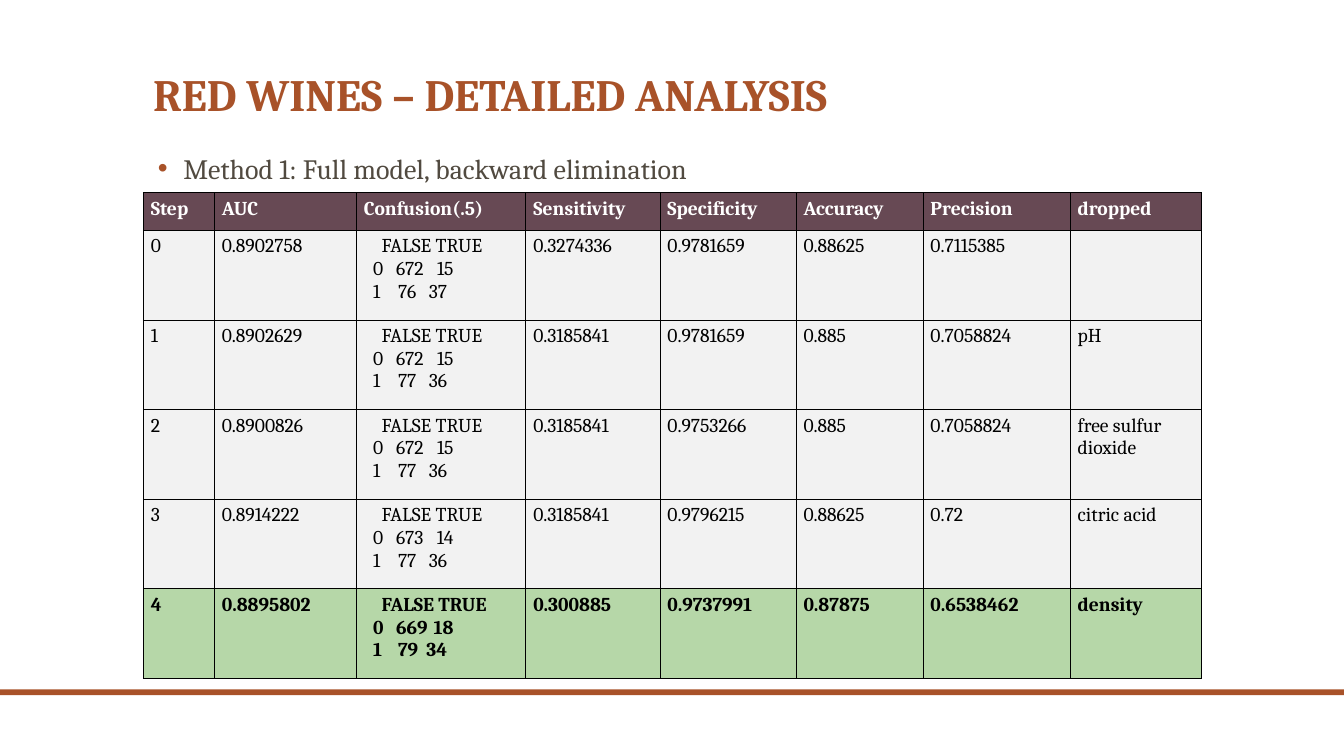
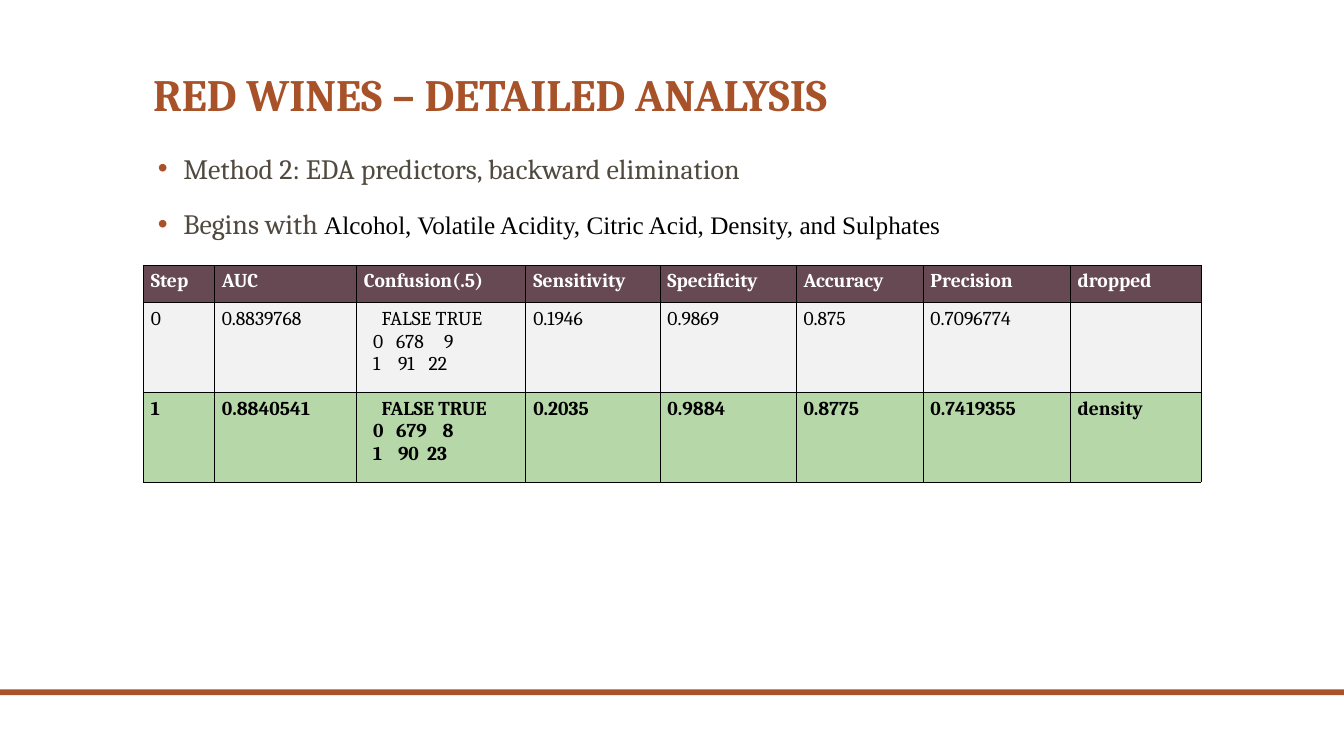
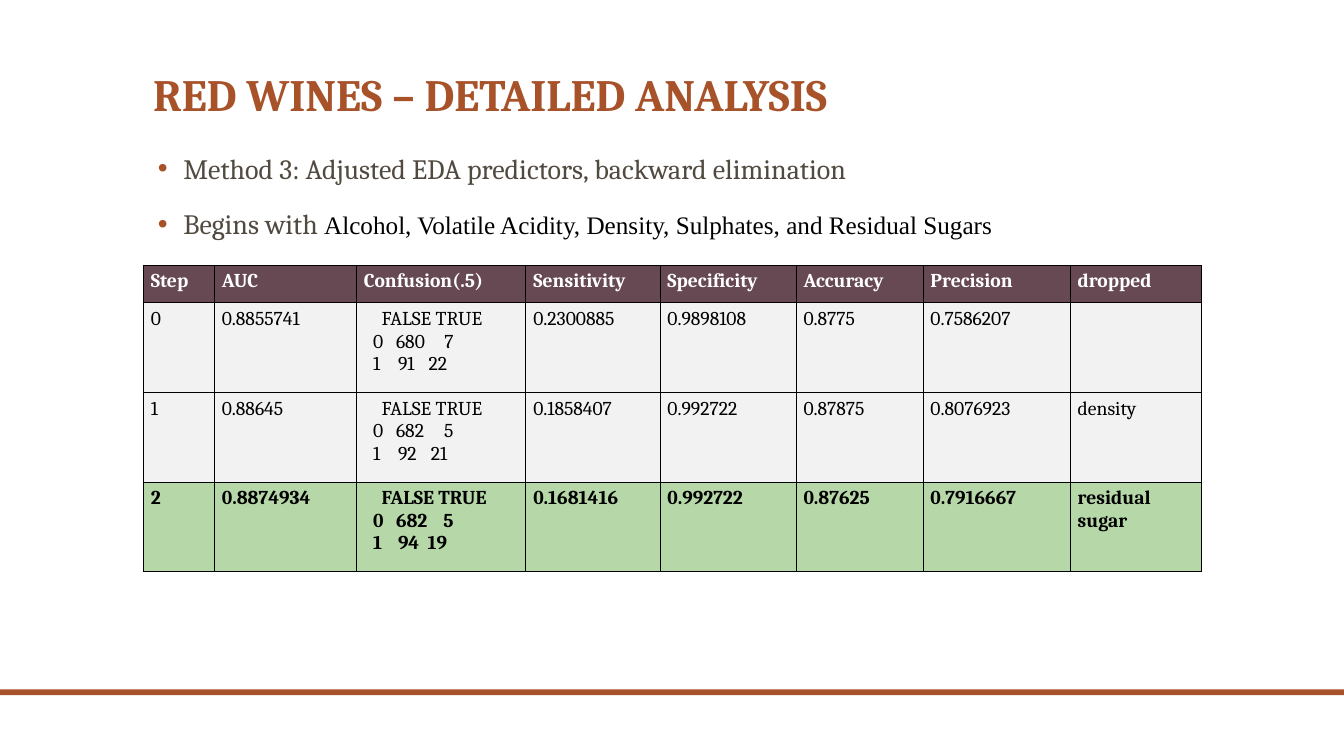
from dataclasses import dataclass

from lxml import etree
from pptx import Presentation, util as u
from pptx.dml import color as col
from pptx.enum import shapes, text as txt
from pptx.oxml import ns

HEX = {
    "rust": "A85229", "body": "514A40", "plum": "674954", "white": "FFFFFF",
    "black": "000000", "grey": "F2F2F2", "green": "B6D7A8",
}
SERIF = "Cambria"
WIDE, HIGH = 33.87, 19.05
LEFT, SPAN = 3.61, 26.67
COLS = (1.79, 3.58, 4.27, 3.38, 3.43, 3.2, 3.71, 3.3)
HEAD = ("Step", "AUC", "Confusion(.5)", "Sensitivity", "Specificity",
        "Accuracy", "Precision", "dropped")
HEAD_H, ROW_H = 0.95, 2.26
# Tab stops of the three lines of a confusion matrix: (cm, alignment)
TABS = (
    ((0.45, "l"),),
    ((0.23, "l"), (0.81, "l"), (2.26, "r")),
    ((0.23, "l"), (0.86, "l"), (2.1, "r")),
)


@dataclass
class Step:
    auc: str
    counts: tuple[int, int, int, int]
    sens: str
    spec_: str
    acc: str
    prec: str
    drop: str = ""

    def grid(self) -> list[str]:
        a, b, c, d = self.counts
        return ["\tFALSE TRUE", f"\t0\t{a}\t{b}", f"\t1\t{c}\t{d}"]


@dataclass
class Page:
    method: str
    begins: str
    top: float
    steps: list[Step]


PAGES = [
    Page("Method 1: Full model, backward elimination", "", 4.85, [
        Step("0.8902758", (672, 15, 76, 37), "0.3274336", "0.9781659", "0.88625", "0.7115385"),
        Step("0.8902629", (672, 15, 77, 36), "0.3185841", "0.9781659", "0.885", "0.7058824", "pH"),
        Step("0.8900826", (672, 15, 77, 36), "0.3185841", "0.9753266", "0.885", "0.7058824",
             "free sulfur dioxide"),
        Step("0.8914222", (673, 14, 77, 36), "0.3185841", "0.9796215", "0.88625", "0.72",
             "citric acid"),
        Step("0.8895802", (669, 18, 79, 34), "0.300885", "0.9737991", "0.87875", "0.6538462",
             "density"),
    ]),
    Page("Method 2: EDA predictors, backward elimination",
         "Alcohol, Volatile Acidity, Citric Acid, Density, and Sulphates", 6.68, [
             Step("0.8839768", (678, 9, 91, 22), "0.1946", "0.9869", "0.875", "0.7096774"),
             Step("0.8840541", (679, 8, 90, 23), "0.2035", "0.9884", "0.8775", "0.7419355",
                  "density"),
         ]),
    Page("Method 3: Adjusted EDA predictors, backward elimination",
         "Alcohol, Volatile Acidity, Density, Sulphates, and Residual Sugars", 6.68, [
             Step("0.8855741", (680, 7, 91, 22), "0.2300885", "0.9898108", "0.8775", "0.7586207"),
             Step("0.88645", (682, 5, 92, 21), "0.1858407", "0.992722", "0.87875", "0.8076923",
                  "density"),
             Step("0.8874934", (682, 5, 94, 19), "0.1681416", "0.992722", "0.87625", "0.7916667",
                  "residual sugar"),
         ]),
]


def rgb(name: str) -> col.RGBColor:
    return col.RGBColor.from_string(HEX[name])


def sub(node, tag: str, **attrs):
    return etree.SubElement(node, ns.qn(tag), attrs)


def write(para, words: str, *, size: float = 14, font: str = SERIF,
          color: str = "black", bold: bool = False) -> None:
    run = para.add_run()
    run.text = words
    run.font.size = u.Pt(size)
    run.font.name = font
    run.font.bold = bold
    run.font.color.rgb = rgb(color)


def bullet(para) -> None:
    props = para._p.get_or_add_pPr()
    props.set("marL", str(u.Cm(0.76)))
    props.set("indent", str(u.Cm(-0.64)))
    sub(sub(props, "a:buClr"), "a:srgbClr", val=HEX["rust"])
    sub(props, "a:buFont", typeface="Arial")
    sub(props, "a:buChar", char="•")
    para.line_spacing = 0.9


def stops(para, tabs) -> None:
    """Set the tab stops of a paragraph."""
    group = sub(para._p.get_or_add_pPr(), "a:tabLst")
    for pos, side in tabs:
        sub(group, "a:tab", pos=str(u.Cm(pos)), algn=side)


def box(slide, top: float, high: float):
    frame = slide.shapes.add_textbox(u.Cm(LEFT), u.Cm(top), u.Cm(SPAN), u.Cm(high)).text_frame
    frame.word_wrap = True
    return frame


def base(deck):
    """Add a slide with the shared title and bottom band."""
    slide = deck.slides.add_slide(deck.slide_layouts[6])
    band = slide.shapes.add_shape(shapes.MSO_SHAPE.RECTANGLE, 0, u.Cm(17.37),
                                  u.Cm(WIDE), u.Cm(0.15))
    band.shadow.inherit = False
    band.fill.solid()
    band.fill.fore_color.rgb = rgb("rust")
    band.line.fill.background()
    title = box(slide, 0, 3.18)
    title.vertical_anchor = txt.MSO_ANCHOR.BOTTOM
    para = title.paragraphs[0]
    para.line_spacing = 0.9
    write(para, "RED WINES – DETAILED ANALYSIS", size=32, color="rust", bold=True)
    return slide


def intro(slide, page: Page) -> None:
    frame = box(slide, 3.78, 12.73)
    para = frame.paragraphs[0]
    bullet(para)
    write(para, page.method, size=20, color="body")
    if page.begins:
        para = frame.add_paragraph()
        bullet(para)
        para.space_before = u.Pt(18)
        write(para, "Begins with ", size=20, color="body")
        write(para, page.begins, size=18, font="Times New Roman")


def style(cell, fill: str) -> None:
    """Give a cell its margins, thin black borders and fill."""
    cell.margin_left = cell.margin_right = u.Cm(0.19)
    cell.margin_top = cell.margin_bottom = u.Cm(0.13)
    props = cell._tc.get_or_add_tcPr()
    for side in "LRTB":
        line = sub(props, f"a:ln{side}", w=str(u.Pt(0.5)))
        sub(sub(line, "a:solidFill"), "a:srgbClr", val=HEX["black"])
    cell.fill.solid()
    cell.fill.fore_color.rgb = rgb(fill)


def table(slide, top: float, steps: list[Step]) -> None:
    high = HEAD_H + ROW_H * len(steps)
    grid = slide.shapes.add_table(len(steps) + 1, len(COLS), u.Cm(LEFT), u.Cm(top),
                                  u.Cm(SPAN), u.Cm(high)).table
    grid.first_row = grid.horz_banding = False
    for column, wide in zip(grid.columns, COLS):
        column.width = u.Cm(wide)
    for i, row in enumerate(grid.rows):
        row.height = u.Cm(ROW_H if i else HEAD_H)

    rows = [[[name] for name in HEAD]]
    for i, s in enumerate(steps):
        rows.append([[str(i)], [s.auc], s.grid(), [s.sens], [s.spec_],
                     [s.acc], [s.prec], [s.drop]])
    for i, row in enumerate(rows):
        head, best = i == 0, i == len(steps)
        fill = "plum" if head else "green" if best else "grey"
        for j, lines in enumerate(row):
            cell = grid.cell(i, j)
            style(cell, fill)
            frame = cell.text_frame
            for k, line in enumerate(lines):
                para = frame.add_paragraph() if k else frame.paragraphs[0]
                if len(lines) > 1:
                    stops(para, TABS[k])
                if line:
                    write(para, line, color="white" if head else "black", bold=head or best)


def main() -> None:
    deck = Presentation()
    deck.slide_width, deck.slide_height = u.Cm(WIDE), u.Cm(HIGH)
    for page in PAGES:
        slide = base(deck)
        intro(slide, page)
        table(slide, page.top, page.steps)
    deck.save("out.pptx")


if __name__ == "__main__":
    main()
